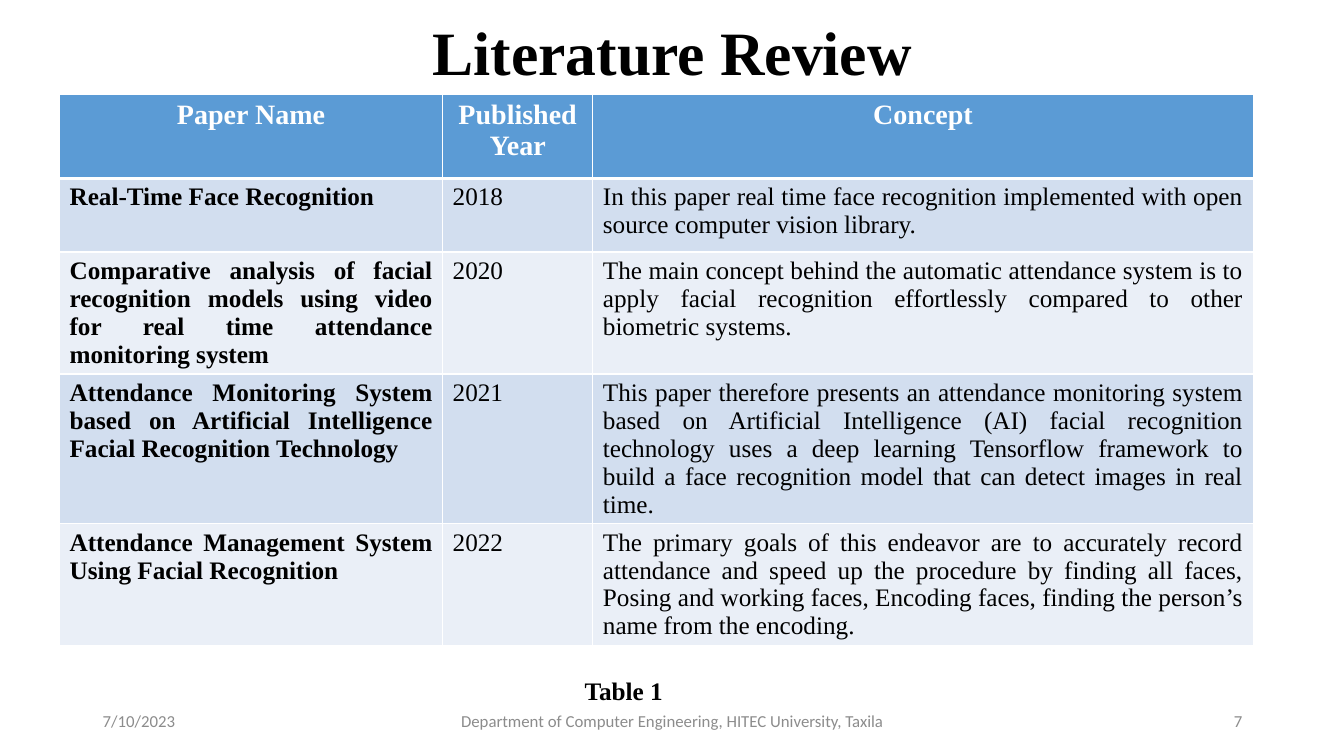
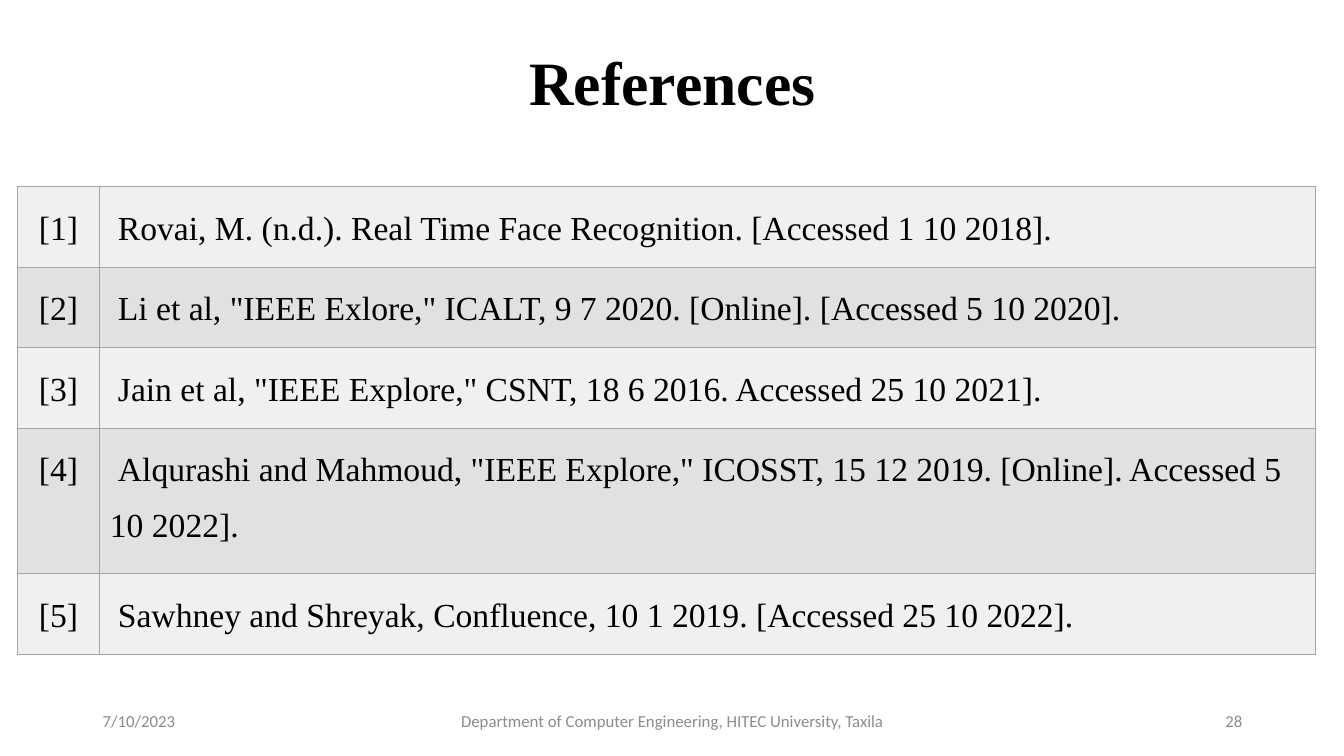
from dataclasses import dataclass

from lxml import etree
from pptx import Presentation, util as u
from pptx.dml.color import RGBColor
from pptx.enum import text
from pptx.oxml.ns import qn

PX = 9144  # 100 px to the inch
HUE = {
    "ink": "000000", "white": "FFFFFF", "foot": "8C8C8C", "head": "5B9BD5",
    "blue": "D2DEEF", "pale": "EAEFF7",
    "light": "F0F0F0", "grey": "E1E1E1", "rule": "A5A5A5",
}
SERIF, SANS = "Times New Roman", "Calibri"
LEFT, MID, RIGHT, FULL = (text.PP_ALIGN.LEFT, text.PP_ALIGN.CENTER,
                          text.PP_ALIGN.RIGHT, text.PP_ALIGN.JUSTIFY)
DATE = "7/10/2023"
DEPT = "Department of Computer Engineering, HITEC University, Taxila"


@dataclass(frozen=True)
class Style:
    size: int
    hue: str = "ink"
    bold: bool = False
    align: text.PP_ALIGN = LEFT
    face: str = SERIF
    space: float = 1.0
    indent: int = 0


@dataclass(frozen=True)
class Box:
    x: int
    y: int
    w: int
    h: int

    def emu(self) -> tuple[int, ...]:
        return tuple(n * PX for n in (self.x, self.y, self.w, self.h))


@dataclass(frozen=True)
class Grid:
    x: int
    y: int
    cols: list[int]
    rows: list[int]
    cells: list[tuple[str, ...]]
    styles: list[Style]
    bands: tuple[str, str]
    rule: str
    head: Style | None = None


TITLE = Style(44, bold=True, align=MID, space=0.9)
NAME = Style(18, bold=True, align=FULL)
YEAR = Style(18)
IDEA = Style(18, align=FULL)

PAPERS = Grid(
    59, 94, [380, 149, 655], [83, 73, 121, 148, 121],
    [
        ("Paper Name", "Published Year", "Concept"),
        ("Real-Time Face Recognition", "2018",
         "In this paper real time face recognition implemented with open "
         "source computer vision library."),
        ("Comparative analysis of facial recognition models using video for "
         "real time attendance monitoring system", "2020",
         "The main concept behind the automatic attendance system is to apply "
         "facial recognition effortlessly compared to other biometric systems."),
        ("Attendance Monitoring System based on Artificial Intelligence "
         "Facial Recognition Technology", "2021",
         "This paper therefore presents an attendance monitoring system based "
         "on Artificial Intelligence (AI) facial recognition technology uses a "
         "deep learning Tensorflow framework to build a face recognition model "
         "that can detect images in real time."),
        ("Attendance Management System Using Facial Recognition", "2022",
         "The primary goals of this endeavor are to accurately record "
         "attendance and speed up the procedure by finding all faces, Posing "
         "and working faces, Encoding faces, finding the person’s name from "
         "the encoding."),
    ],
    [NAME, YEAR, IDEA], ("pale", "blue"), "white",
    Style(20, "white", True, MID),
)

SOURCES = [
    "Rovai, M. (n.d.). Real Time Face Recognition. [Accessed 1 10 2018].",
    'Li et al, "IEEE Exlore," ICALT, 9 7 2020. [Online]. [Accessed 5 10 2020].',
    'Jain et al, "IEEE Explore," CSNT, 18 6 2016. Accessed 25 10 2021].',
    'Alqurashi and Mahmoud, "IEEE Explore," ICOSST, 15 12 2019. [Online]. '
    "Accessed 5 10 2022].",
    "Sawhney and Shreyak, Confluence, 10 1 2019. [Accessed 25 10 2022].",
]
REFS = Grid(
    17, 185, [82, 1206], [80, 80, 80, 144, 80],
    [(f"[{n}]", line) for n, line in enumerate(SOURCES, 1)],
    [Style(24, align=MID, space=1.5), Style(24, space=1.5, indent=8)],
    ("light", "grey"), "rule",
)


def tint(name: str) -> RGBColor:
    return RGBColor.from_string(HUE[name])


def write(frame, words: str, style: Style) -> None:
    frame.text = words
    para = frame.paragraphs[0]
    para.alignment = style.align
    para.line_spacing = style.space
    if style.indent:
        para._p.get_or_add_pPr().set("indent", str(style.indent * PX))
    font = para.font
    font.name, font.size, font.bold = style.face, u.Pt(style.size), style.bold
    font.color.rgb = tint(style.hue)


def label(slide, box: Box, words: str, style: Style, anchor=text.MSO_ANCHOR.MIDDLE) -> None:
    frame = slide.shapes.add_textbox(*box.emu()).text_frame
    frame.word_wrap = True
    frame.vertical_anchor = anchor
    write(frame, words, style)


def edge(cell, hue: str, top: int, base: int) -> None:
    """Draw the four borders; top and base are widths in points."""
    props = cell._tc.get_or_add_tcPr()
    sides = {"lnL": 1, "lnR": 1, "lnT": top, "lnB": base}
    for spot, (tag, width) in enumerate(sides.items()):
        line = etree.Element(qn(f"a:{tag}"), w=str(u.Pt(width)))
        fill = etree.SubElement(line, qn("a:solidFill"))
        etree.SubElement(fill, qn("a:srgbClr"), val=HUE[hue])
        props.insert(spot, line)


def table(slide, grid: Grid) -> None:
    box = Box(grid.x, grid.y, sum(grid.cols), sum(grid.rows))
    tab = slide.shapes.add_table(len(grid.rows), len(grid.cols), *box.emu()).table
    tab.first_row = grid.head is not None
    tab.horz_banding = False
    for col, width in zip(tab.columns, grid.cols):
        col.width = width * PX
    for r, (row, height) in enumerate(zip(tab.rows, grid.rows)):
        row.height = height * PX
        top = grid.head if r == 0 else None
        for cell, words, style in zip(row.cells, grid.cells[r], grid.styles):
            write(cell.text_frame, words, top or style)
            cell.fill.solid()
            cell.fill.fore_color.rgb = tint("head" if top else grid.bands[r % 2])
            edge(cell, grid.rule, 3 if grid.head and r == 1 else 1, 3 if top else 1)


def page(deck, title: str, y: int, h: int, number: int, grid: Grid):
    """Add a slide with its title, table and footer."""
    slide = deck.slides.add_slide(deck.slide_layouts[5])
    head = slide.shapes.title
    head.left, head.top, head.width, head.height = Box(92, y, 1150, h).emu()
    frame = head.text_frame
    frame.auto_size = text.MSO_AUTO_SIZE.NONE
    frame.vertical_anchor = text.MSO_ANCHOR.MIDDLE
    write(frame, title, TITLE)
    table(slide, grid)
    for x, w, words, align in (
        (92, 300, DATE, LEFT), (442, 450, DEPT, MID), (942, 300, str(number), RIGHT),
    ):
        label(slide, Box(x, 695, w, 40), words, Style(12, "foot", align=align, face=SANS))
    return slide


def main() -> None:
    deck = Presentation()
    deck.slide_width, deck.slide_height = 1333 * PX, 750 * PX
    review = page(deck, "Literature Review", 15, 80, 7, PAPERS)
    label(review, Box(570, 665, 127, 40), "Table 1", Style(18, bold=True),
          text.MSO_ANCHOR.TOP)
    page(deck, "References", 40, 90, 28, REFS)
    deck.save("out.pptx")


if __name__ == "__main__":
    main()
